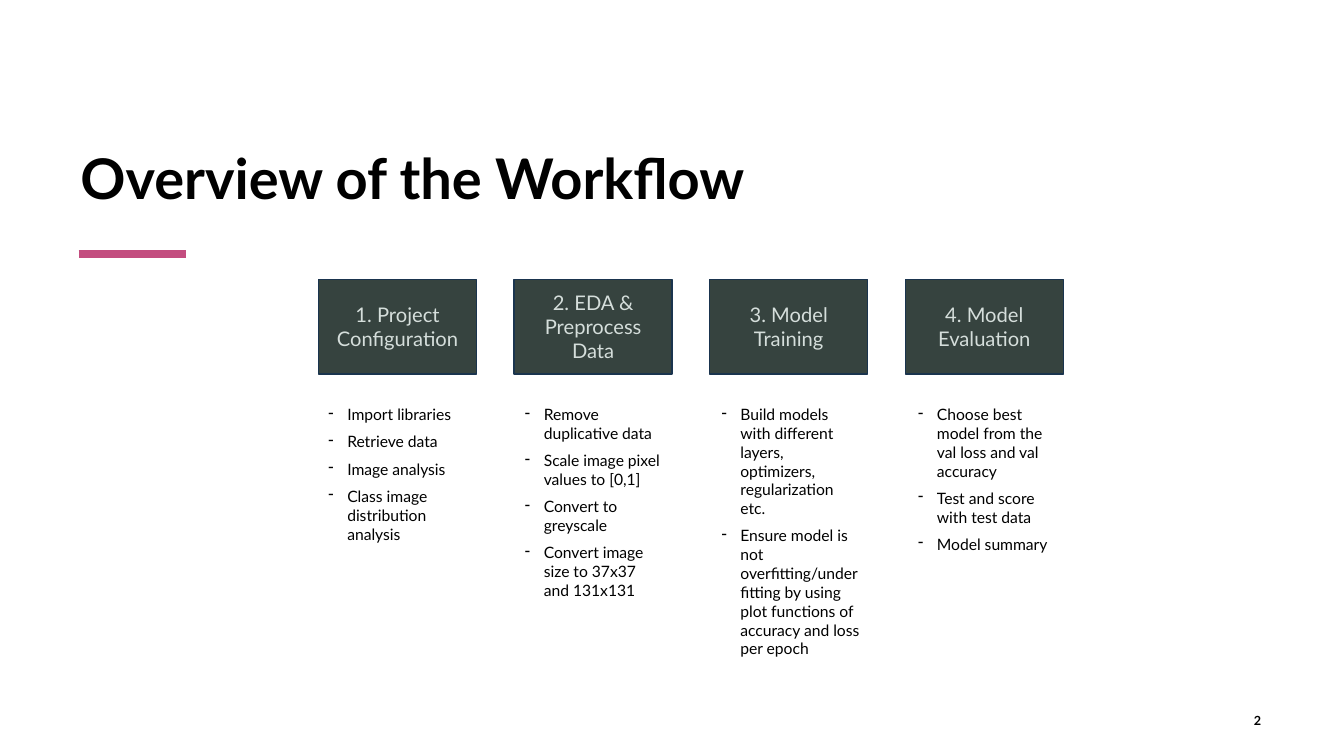
from pptx import Presentation
from pptx import util as u
from pptx.dml.color import RGBColor
from pptx.enum import shapes, text
from pptx.oxml.ns import qn
from lxml import etree

BLACK = RGBColor(0x00, 0x00, 0x00)
PINK = RGBColor(0xC3, 0x4D, 0x7F)
DARK_GREEN = RGBColor(0x36, 0x43, 0x3F)
PALE_GREEN = RGBColor(0xD5, 0xDE, 0xDB)
NAVY = RGBColor(0x1A, 0x34, 0x4E)

STEP_LEFT, STEP_PITCH, STEP_WIDTH = 227.5, 139.7, 113
LIST_PITCH = 140.4

# Heading, height of the list, list items
STEPS = [
    ("1. Project Configuration", 106.6,
     ["Import libraries", "Retrieve data", "Image analysis",
      "Class image distribution analysis"]),
    ("2. EDA & Preprocess Data", 180.7,
     ["Remove duplicative data", "Scale image pixel values to [0,1]",
      "Convert to greyscale", "Convert image size to 37x37 and 131x131"]),
    ("3. Model Training", 213.1,
     ["Build models with different layers, optimizers, regularization etc.",
      "Ensure model is not overfitting/underfitting by using plot functions "
      "of accuracy and loss per epoch"]),
    ("4. Model Evaluation", 114.5,
     ["Choose best model from the val loss and val accuracy",
      "Test and score with test data", "Model summary"]),
]


def add_dash(para, indent=13.5):
    """Give the paragraph a hanging dash bullet."""
    properties = para._p.get_or_add_pPr()
    properties.set("marL", str(u.Pt(indent)))
    properties.set("indent", str(-u.Pt(indent)))
    etree.SubElement(properties, qn("a:buChar")).set("char", "-")


def write(box, lines, size, color=BLACK, bold=False, align=text.PP_ALIGN.LEFT,
          anchor=text.MSO_ANCHOR.TOP, after=0, dashed=False):
    frame = box.text_frame
    frame.word_wrap = True
    frame.vertical_anchor = anchor
    for index, line in enumerate(lines):
        para = frame.add_paragraph() if index else frame.paragraphs[0]
        para.alignment = align
        para.space_after = u.Pt(after)
        if dashed:
            add_dash(para)
        span = para.add_run()
        span.text = line
        span.font.name = "Lato"
        span.font.size = u.Pt(size)
        span.font.bold = bold
        span.font.color.rgb = color


class WorkflowSlide:
    def __init__(self, deck):
        self.slide = deck.slides.add_slide(deck.slide_layouts[6])

    def label(self, left, top, width, height, lines, **style):
        box = self.slide.shapes.add_textbox(
            u.Pt(left), u.Pt(top), u.Pt(width), u.Pt(height))
        write(box, lines, **style)
        return box

    def rule(self, left, right, top):
        line = self.slide.shapes.add_connector(
            shapes.MSO_CONNECTOR.STRAIGHT,
            u.Pt(left), u.Pt(top), u.Pt(right), u.Pt(top))
        line.line.color.rgb = PINK
        line.line.width = u.Pt(6)
        etree.SubElement(line._element.spPr, qn("a:effectLst"))

    def step(self, left, heading):
        box = self.slide.shapes.add_shape(
            shapes.MSO_SHAPE.RECTANGLE,
            u.Pt(left), u.Pt(199.5), u.Pt(STEP_WIDTH), u.Pt(67.7))
        box.shadow.inherit = False
        box.fill.solid()
        box.fill.fore_color.rgb = DARK_GREEN
        box.line.color.rgb = NAVY
        box.line.width = u.Pt(1)
        write(box, [heading], size=14.4, color=PALE_GREEN, after=6,
              align=text.PP_ALIGN.CENTER, anchor=text.MSO_ANCHOR.MIDDLE)

    def bullet_list(self, left, height, items):
        box = self.label(left, 285.8, STEP_WIDTH, height, items,
                         size=11.2, after=6, dashed=True)
        box.text_frame.auto_size = text.MSO_AUTO_SIZE.SHAPE_TO_FIT_TEXT


def main():
    deck = Presentation()
    deck.slide_width, deck.slide_height = u.Pt(960), u.Pt(540)
    page = WorkflowSlide(deck)
    page.label(50.4, 44.6, 857.5, 109.4, ["Overview of the Workflow"],
               size=40, bold=True, anchor=text.MSO_ANCHOR.BOTTOM)
    page.rule(56.2, 133.2, 181.5)
    for index, (heading, _, _) in enumerate(STEPS):
        page.step(STEP_LEFT + index * STEP_PITCH, heading)
    for index, (_, height, items) in enumerate(STEPS):
        page.bullet_list(STEP_LEFT + index * LIST_PITCH, height, items)
    page.label(851, 500.4, 56.9, 28.8, ["2"], size=9, bold=True,
               align=text.PP_ALIGN.RIGHT, anchor=text.MSO_ANCHOR.MIDDLE)
    deck.save("out.pptx")


if __name__ == "__main__":
    main()
